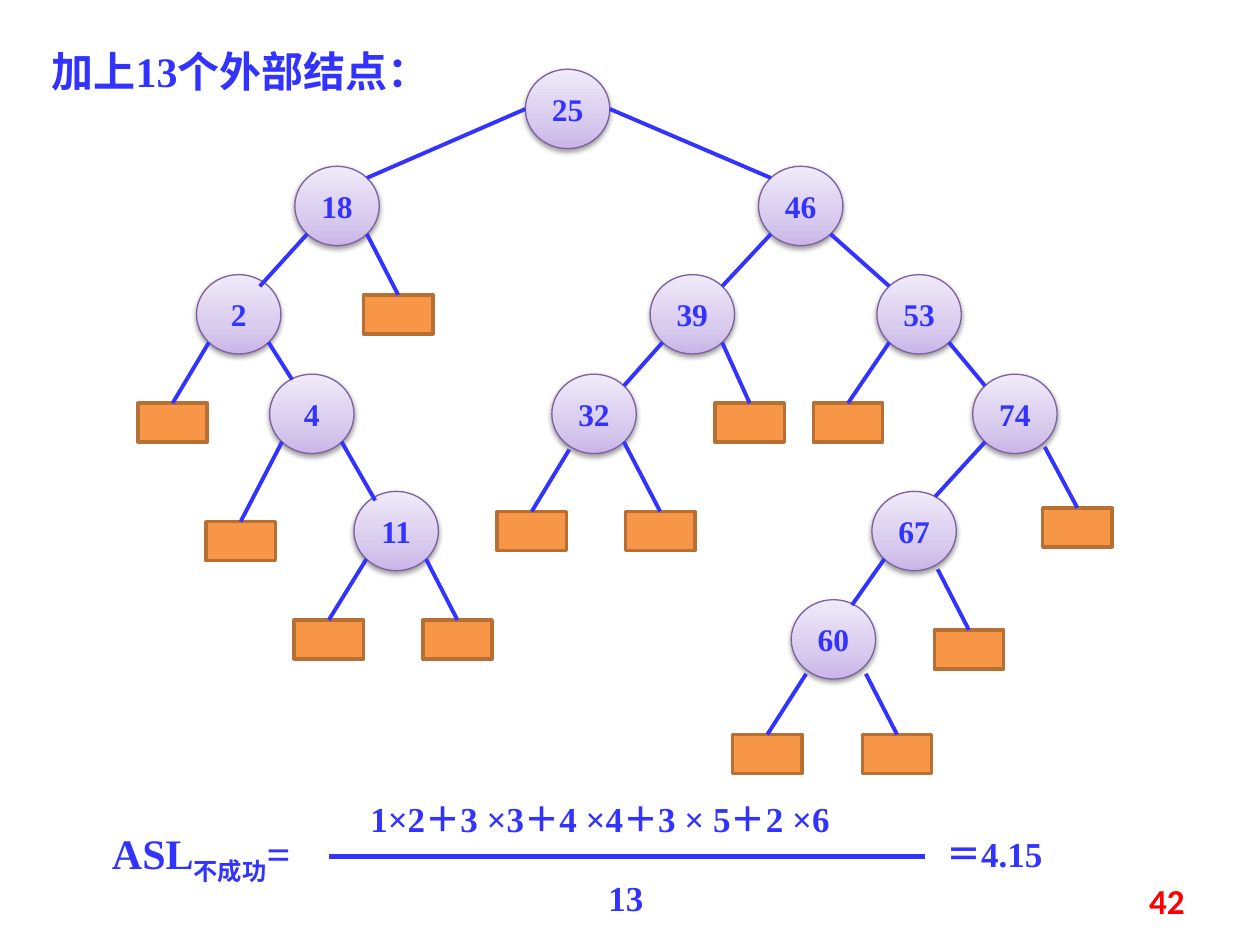
from math import sqrt

from pptx import Presentation
from pptx.dml.color import RGBColor
from pptx.enum.shapes import MSO_CONNECTOR, MSO_SHAPE
from pptx.enum.text import MSO_ANCHOR, PP_ALIGN
from pptx.oxml import parse_xml
from pptx.oxml.ns import nsdecls
from pptx.util import Inches, Pt

COLUMNS, ROWS = 100, 75

# Inner nodes: key -> centre (column, row)
NODES = {
    25: (45.05, 8.65), 18: (26.75, 16.35), 2: (18.95, 24.95),
    4: (24.75, 32.85), 11: (31.45, 42.15), 46: (63.55, 16.35),
    39: (54.95, 24.95), 32: (47.15, 32.85), 53: (72.95, 24.95),
    74: (80.55, 32.85), 67: (72.55, 42.15), 60: (66.15, 50.75),
}
LEFT, RIGHT = -1, 1

# Branches between inner nodes: parent, side, child, tip shift (columns, rows)
BRANCHES = [
    (25, LEFT, 18, (0, 0)), (25, RIGHT, 46, (0, 0)),
    (18, LEFT, 2, (-0.7, 0)), (2, RIGHT, 4, (0.8, -0.5)),
    (4, RIGHT, 11, (0.7, -0.2)), (46, LEFT, 39, (0, 0)),
    (46, RIGHT, 53, (0, 0)), (39, LEFT, 32, (0, 0)),
    (53, RIGHT, 74, (0, 0)), (74, LEFT, 67, (-0.7, -0.5)),
    (67, LEFT, 60, (-0.9, -0.5)),
]

# External nodes: parent, side, top centre (column, row), start shift
LEAVES = [
    (11, LEFT, (26.1, 49.2), (0, 0)), (11, RIGHT, (36.3, 49.2), (0, 0)),
    (2, LEFT, (13.7, 32), (0, 0)), (4, LEFT, (19.1, 41.4), (0, 0)),
    (18, RIGHT, (31.6, 23.4), (0, 0)), (39, RIGHT, (59.5, 32), (0, 0)),
    (53, LEFT, (67.3, 32), (0, 0)), (60, LEFT, (60.9, 58.3), (0.2, 0.5)),
    (60, RIGHT, (71.2, 58.3), (0.2, 0.5)), (67, RIGHT, (76.9, 50), (-0.5, 0.8)),
    (74, RIGHT, (85.5, 40.3), (0, 0.4)), (32, LEFT, (42.2, 40.6), (0.4, 0.6)),
    (32, RIGHT, (52.4, 40.6), (0, 0)),
]


def color(hex_text):
    return RGBColor.from_string(hex_text)


def shifted(point, shift):
    return point[0] + shift[0], point[1] + shift[1]


class TreeSlide:
    font = "Times New Roman"
    ink = "3333FF"
    node_size = (6.7, 6.3)
    leaf_size = (5.5, 3.1)
    node_stops = [(0, "C9B5E8"), (35, "D8CBEE"), (100, "F0EAF9")]

    def __init__(self, deck):
        self.column = deck.slide_width / COLUMNS
        self.row = deck.slide_height / ROWS
        self.slide = deck.slides.add_slide(deck.slide_layouts[5])

    def place(self, left, top, width, height):
        return [round(left * self.column), round(top * self.row),
                round(width * self.column), round(height * self.row)]

    def fill_text(self, frame, parts, size, align=PP_ALIGN.LEFT,
                  anchor=MSO_ANCHOR.TOP, ink=ink, font=font):
        frame.word_wrap = True
        frame.vertical_anchor = anchor
        para = frame.paragraphs[0]
        para.alignment = align
        for part in parts:
            span = para.add_run()
            span.text = part
            span.font.size = Pt(size)
            span.font.name = font
            span.font.bold = True
            span.font.color.rgb = color(ink)
        return para

    def title(self, text, place, size):
        box = self.slide.shapes.title
        box.left, box.top, box.width, box.height = self.place(*place)
        self.fill_text(box.text_frame, [text], size)

    def text(self, parts, place, size, **style):
        box = self.slide.shapes.add_textbox(*self.place(*place))
        return self.fill_text(box.text_frame, parts, size, **style)

    def shape(self, kind, left, top, size, edge, weight):
        shape = self.slide.shapes.add_shape(kind, *self.place(left, top, *size))
        shape.shadow.inherit = False
        shape.line.color.rgb = color(edge)
        shape.line.width = Pt(weight)
        return shape

    def node(self, key, center):
        width, height = self.node_size
        shape = self.shape(MSO_SHAPE.OVAL, center[0] - width / 2,
                           center[1] - height / 2, self.node_size, "7D60A0", 0.75)
        # Three-stop gradient and a soft shadow below
        stops = "".join(f'<a:gs pos="{pos * 1000}"><a:srgbClr val="{tint}"/></a:gs>'
                        for pos, tint in self.node_stops)
        gradient = parse_xml(f'<a:gradFill {nsdecls("a")} rotWithShape="1"><a:gsLst>{stops}'
                             '</a:gsLst><a:lin ang="16200000" scaled="0"/></a:gradFill>')
        properties = shape.element.spPr
        properties.insert(2, gradient)
        effects = properties.find("{*}effectLst")
        effects.append(parse_xml(
            f'<a:outerShdw {nsdecls("a")} blurRad="{Pt(3.1)}" dist="{Pt(1.6)}" dir="5400000" '
            'rotWithShape="0"><a:srgbClr val="000000"><a:alpha val="38000"/>'
            '</a:srgbClr></a:outerShdw>'))
        frame = shape.text_frame
        frame.margin_left = frame.margin_right = 0
        self.fill_text(frame, [str(key)], 18, PP_ALIGN.CENTER, MSO_ANCHOR.MIDDLE)

    def leaf(self, top_center):
        left = top_center[0] - self.leaf_size[0] / 2
        shape = self.shape(MSO_SHAPE.RECTANGLE, left, top_center[1],
                           self.leaf_size, "B76F34", 2)
        shape.fill.solid()
        shape.fill.fore_color.rgb = color("F79646")

    def line(self, start, end, weight=2.25):
        x1, y1, x2, y2 = self.place(*start, *end)
        line = self.slide.shapes.add_connector(MSO_CONNECTOR.STRAIGHT, x1, y1, x2, y2)
        line.line.color.rgb = color(self.ink)
        line.line.width = Pt(weight)
        line.element.spPr.append(parse_xml(f'<a:effectLst {nsdecls("a")}/>'))

    def rim(self, key, across, down):
        """Diagonal point on the outline of a node."""
        width, height = self.node_size
        return shifted(NODES[key], (across * width / sqrt(8), down * height / sqrt(8)))

    def branch(self, parent, side, child, shift):
        if parent == 25:  # the root's branches leave from its sides
            start = shifted(NODES[parent], (side * self.node_size[0] / 2, 0))
        else:
            start = self.rim(parent, side, 1)
        self.line(start, shifted(self.rim(child, -side, -1), shift))


def main():
    deck = Presentation()
    deck.slide_width, deck.slide_height = Inches(10), Inches(7.5)
    tree = TreeSlide(deck)
    tree.title("加上13个外部结点：", (3.1, 3.1, 35.9, 5), 24)

    # Search tree with its external nodes
    for key, center in NODES.items():
        tree.node(key, center)
    for branch in BRANCHES:
        tree.branch(*branch)
    for parent, side, top_center, shift in LEAVES:
        tree.leaf(top_center)
        tree.line(shifted(tree.rim(parent, side, 1), shift), top_center)

    # Average search length formula
    label = tree.text(["ASL", "不成功", "="], (7.9, 65.2, 18.1, 5), 24)
    label.runs[1].font._element.set("baseline", "-25000")
    tree.text(["1×2＋3 ×3＋4 ×4＋3 × 5＋2 ×6"], (28.4, 62.8, 48.8, 4.3), 20)
    tree.line((26.1, 68), (73.4, 68), 3)
    tree.text(["13"], (47.3, 69.1, 7.1, 4.3), 20)
    tree.text(["＝4.15"], (74.1, 65.6, 10.2, 4.4), 20)

    # Page number
    tree.text(["42"], (71.7, 69.5, 23.3, 4), 20, align=PP_ALIGN.RIGHT,
              anchor=MSO_ANCHOR.MIDDLE, ink="FF0000", font="Calibri")
    deck.save("out.pptx")


if __name__ == "__main__":
    main()
